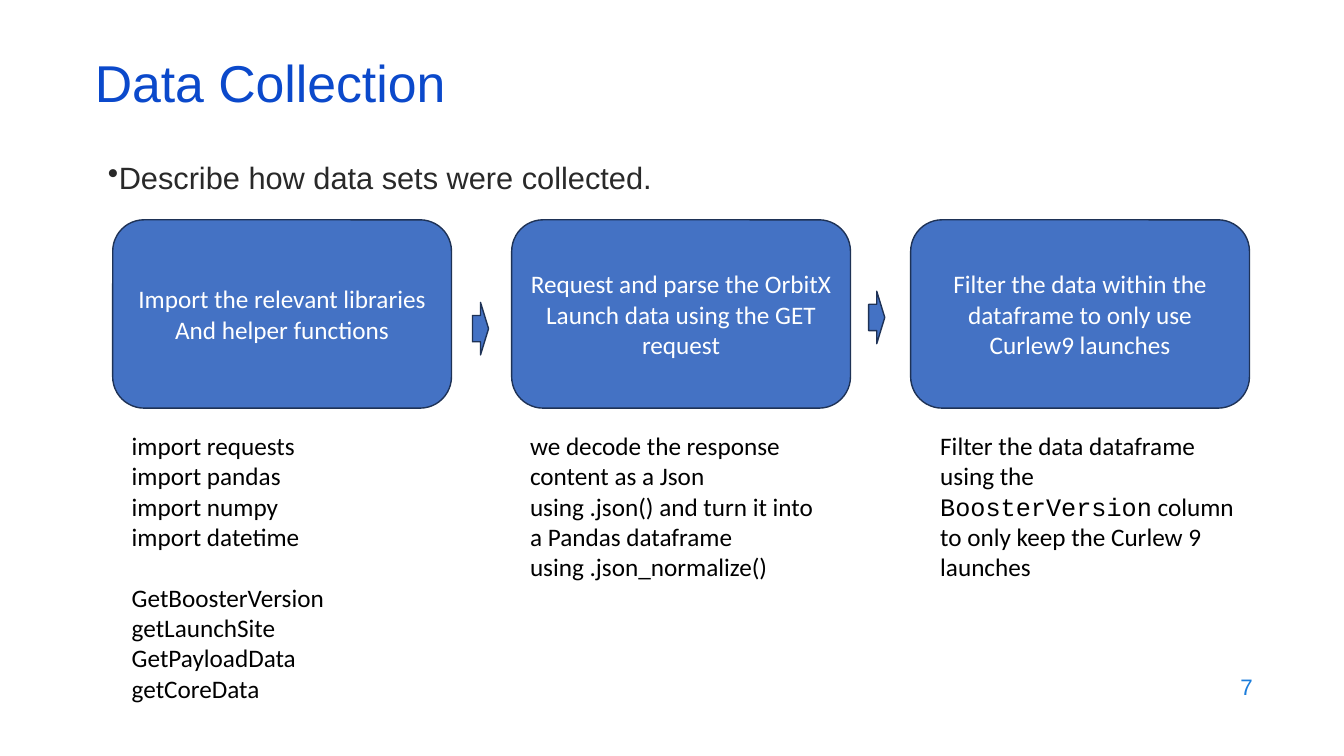
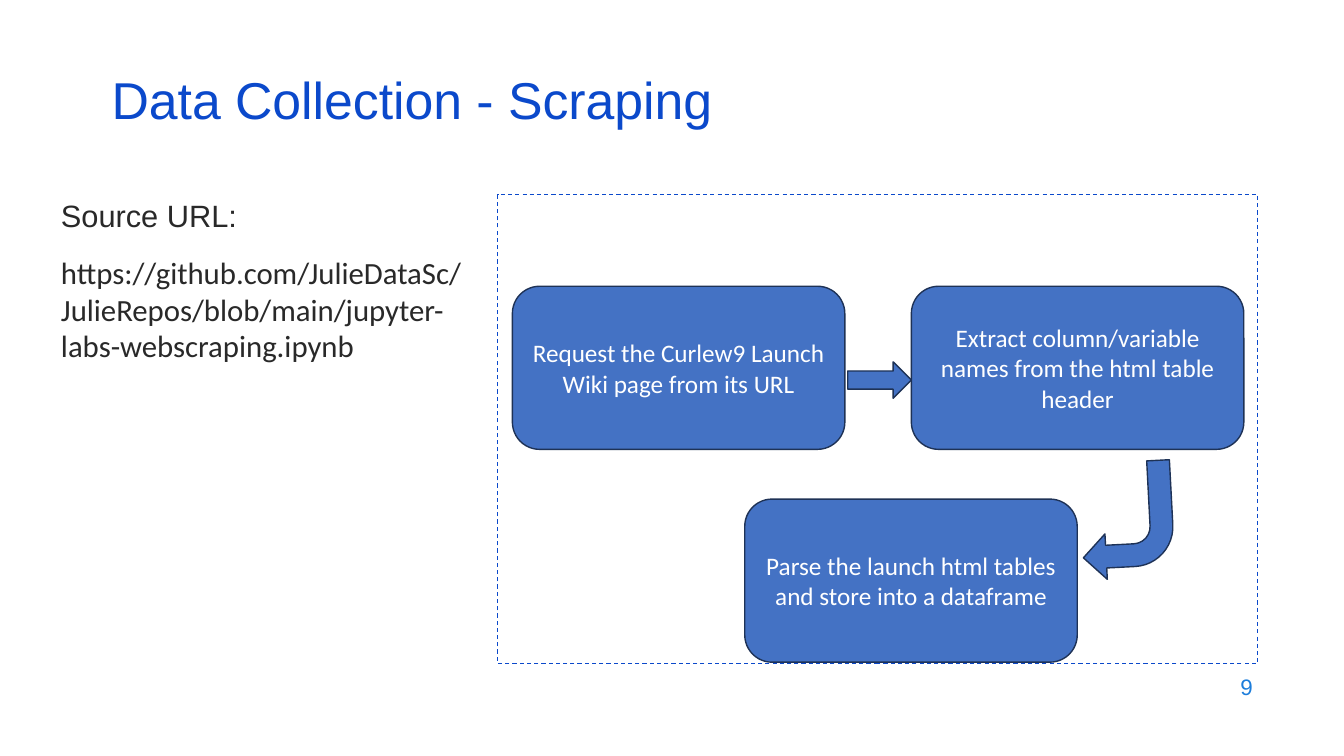
from pptx import Presentation
from pptx.dml.color import RGBColor
from pptx.enum import dml, shapes, text
from pptx.oxml import parse_xml
from pptx.oxml.ns import nsdecls
from pptx.util import Pt

BLUE, EDGE, TITLE = "4472C4", "1E3256", "0B49CB"
BODY, NUMBER, BLACK, WHITE = "292929", "1C7DDB", "000000", "FFFFFF"
SHAPE = shapes.MSO_SHAPE

# Boxes are (left, top, width, height) in points.
COLLECTION = {
    "title": "Data Collection",
    "title_at": (60.5, 42.5),
    "number": "7",
    "intro": "Describe how data sets were collected. ",
    "steps": [
        ["Import the relevant libraries", "And helper functions"],
        ["Request and parse the OrbitX Launch data using the GET request"],
        ["Filter the data within the dataframe to only use Curlew9 launches"],
    ],
    "arrow_tops": [216, 208],
    "details": [
        (87, ["import requests", "import pandas", "import numpy", "import datetime"],
         ["GetBoosterVersion", "getLaunchSite", "GetPayloadData", "getCoreData"]),
        (371.5, ["we decode the response content as a Json using .json() and turn it "
                 "into a Pandas dataframe using .json_normalize()"], []),
        (664.5, [[("Filter the data dataframe using the ", "Calibri"),
                  ("BoosterVersion", "Courier New"),
                  (" column to only keep the Curlew 9 launches", "Calibri")]], []),
    ],
}
SCRAPING = {
    "title": "Data Collection - Scraping",
    "title_at": (72.5, 54.5),
    "number": "9",
    "source": [[("Source URL: ", "Arial")],
               [("https://github.com/JulieDataSc/JulieRepos/blob/main/"
                 "jupyter-labs-webscraping.ipynb", "Calibri")]],
    "steps": [
        (366, 204.5, "Request the Curlew9 Launch Wiki page from its URL"),
        (532, 356.5, "Parse the launch html tables and store into a dataframe"),
        (651, 204.5, "Extract column/variable names from the html table header"),
    ],
}


def color(value):
    return RGBColor.from_string(value)


def write(box, paragraphs, size=18, font="Calibri", ink=BLACK, align="LEFT",
          anchor="TOP", gaps=None, bullet=False):
    """Fill a shape; a paragraph is a string or a list of (text, font), gaps maps index to space before."""
    frame = box.text_frame
    frame.word_wrap = True
    frame.auto_size = text.MSO_AUTO_SIZE.NONE
    frame.vertical_anchor = getattr(text.MSO_ANCHOR, anchor)
    for index, content in enumerate(paragraphs):
        para = frame.paragraphs[0] if index == 0 else frame.add_paragraph()
        if bullet:
            props = para._p.get_or_add_pPr()
            props.set("marL", str(Pt(7)))
            props.set("indent", str(-Pt(7)))
            props.append(parse_xml(f'<a:buChar {nsdecls("a")} char="•"/>'))
        para.alignment = getattr(text.PP_ALIGN, align)
        para.space_before = Pt((gaps or {}).get(index, 0))
        spans = [(content, font)] if isinstance(content, str) else content
        for words, face in spans:
            span = para.add_run()
            span.text = words
            span.font.size = Pt(size)
            span.font.name = face
            span.font.color.rgb = color(ink)


def add_text(page, area, paragraphs, **style):
    write(page.shapes.add_textbox(*map(Pt, area)), paragraphs, **style)


def add_block(page, kind, area, paragraphs=(), rotation=0):
    """Add a blue outlined shape of the process flow."""
    block = page.shapes.add_shape(kind, *map(Pt, area))
    block.shadow.inherit = False
    block.rotation = rotation
    block.fill.solid()
    block.fill.fore_color.rgb = color(BLUE)
    block.line.color.rgb = color(EDGE)
    block.line.width = Pt(1)
    write(block, paragraphs, ink=WHITE, align="CENTER", anchor="MIDDLE")


def add_page(deck, content):
    page = deck.slides.add_slide(deck.slide_layouts[5])
    title = page.shapes.title
    title.left, title.top = map(Pt, content["title_at"])
    title.width, title.height = Pt(828), Pt(43)
    write(title, [content["title"]], size=37, font="Arial", ink=TITLE, anchor="MIDDLE")
    title.text_frame.paragraphs[0].line_spacing = 0.7
    add_text(page, (686, 474.5, 216, 31.5), [content["number"]], size=16,
             font="Arial", ink=NUMBER, align="RIGHT", anchor="MIDDLE")
    return page


def build_collection(deck):
    page = add_page(deck, COLLECTION)
    add_text(page, (70, 109.5, 828, 40), [COLLECTION["intro"]], size=22,
             font="Arial", ink=BODY, bullet=True)
    left, step, width = 80.5, 285, 242
    for index, lines in enumerate(COLLECTION["steps"]):
        add_block(page, SHAPE.ROUNDED_RECTANGLE,
                  (left + index * step, 157, width, 134.5), lines)
    for index, top in enumerate(COLLECTION["arrow_tops"]):
        add_block(page, SHAPE.RIGHT_ARROW, (337.5 + index * 283, top, 11.5, 37.5))
    for detail_left, first, second in COLLECTION["details"]:
        add_text(page, (detail_left, 304, 228, 204 if second else 117),
                 first + second, gaps={len(first): 22})


def build_scraping(deck):
    page = add_page(deck, SCRAPING)
    add_text(page, (36.5, 137, 316, 134), SCRAPING["source"], size=22,
             ink=BODY, gaps={1: 14})
    border = page.shapes.add_shape(SHAPE.RECTANGLE, *map(Pt, (355.5, 139, 543, 335)))
    border.shadow.inherit = False
    border.fill.background()
    border.line.color.rgb = color(TITLE)
    border.line.width = Pt(0.75)
    border.line.dash_style = dml.MSO_LINE.DASH
    for left, top, words in SCRAPING["steps"]:
        add_block(page, SHAPE.ROUNDED_RECTANGLE, (left, top, 237.5, 116.5), [words])
    add_block(page, SHAPE.RIGHT_ARROW, (605.5, 258.5, 45.5, 26))
    add_block(page, SHAPE.BENT_ARROW, (772.5, 330, 65, 83), rotation=177)


def main():
    deck = Presentation()
    deck.slide_width, deck.slide_height = Pt(960), Pt(540)
    build_collection(deck)
    build_scraping(deck)
    deck.save("out.pptx")


if __name__ == "__main__":
    main()
